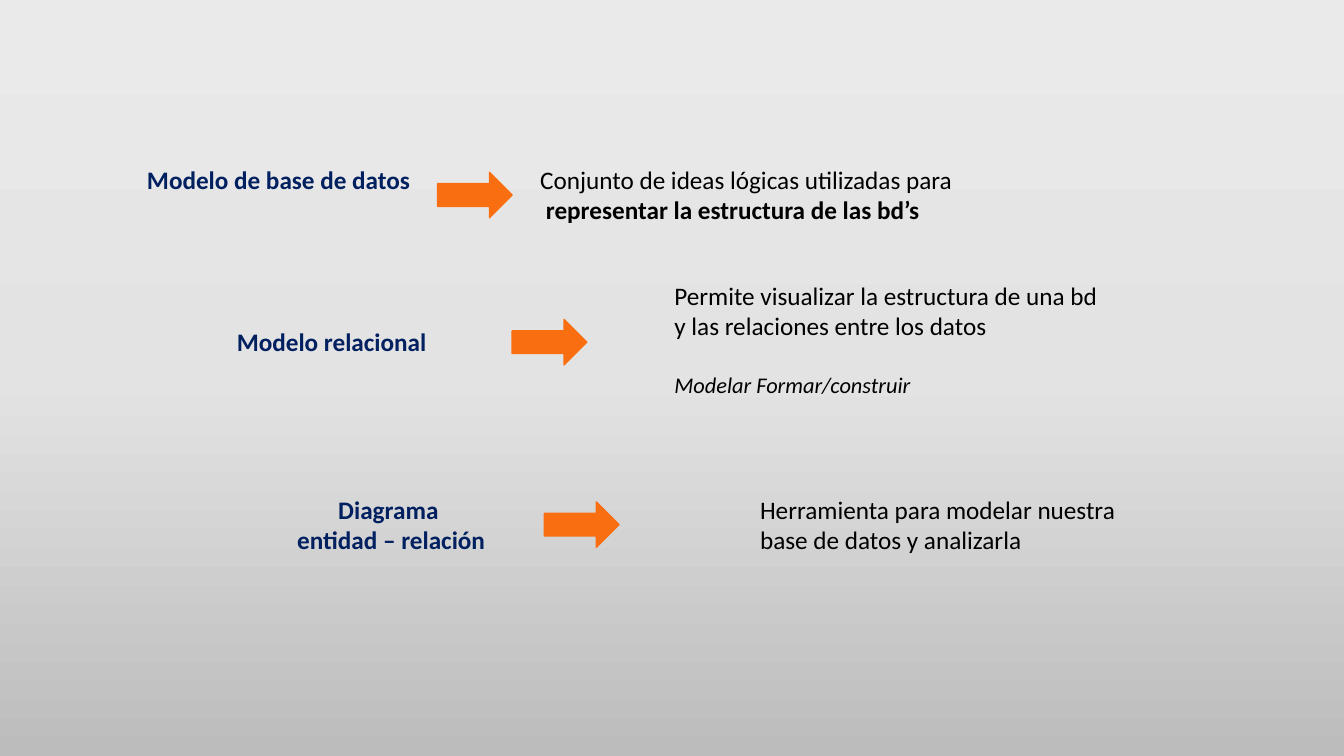
"""Build a slide that pairs three database models with their meanings."""
from copy import deepcopy
from dataclasses import dataclass

from pptx import Presentation
from pptx import util as u
from pptx.dml import color
from pptx.enum import shapes, text
from pptx.oxml import ns
from pptx.slide import Slide

NAVY = "002060"
BLACK = "000000"
ORANGE = "F86E10"
STOPS = ((0, "EBEAEA"), (0.5, "E4E3E3"), (1, "BDBCBC"))


@dataclass
class Line:
    """One paragraph and its style."""
    words: str
    size: int = 18
    tint: str = BLACK
    bold: bool = False
    slant: bool = False
    gap: int = 0


@dataclass
class Box:
    """One block of text and its place."""
    left: float
    top: float
    width: float
    height: float
    lines: list[Line]
    center: bool = False
    wrap: bool = False


@dataclass
class Arrow:
    """The top left corner of one arrow."""
    left: float
    top: float


@dataclass
class Row:
    """A model, its arrow and its meaning."""
    label: Box
    arrow: Arrow
    sense: Box


def term(words: str) -> Line:
    """Return a line in the style of the model names."""
    return Line(words, tint=NAVY, bold=True)


ROWS = [
    Row(Box(1.36, 1.58, 2.83, 0.71, [term("Modelo de base de datos")]),
        Arrow(4.34, 1.71),
        Box(5.26, 1.58, 4.34, 0.71, [
            Line("Conjunto de ideas lógicas utilizadas para"),
            Line(" representar la estructura de las bd’s", bold=True)])),
    Row(Box(2.25, 3.19, 2.09, 0.4, [term("Modelo relacional")]),
        Arrow(5.08, 3.17),
        Box(6.59, 2.73, 4.5, 1.31, [
            Line("Permite visualizar la estructura de una bd"),
            Line("y las relaciones entre los datos"),
            Line("Modelar Formar/construir", size=16, slant=True, gap=22)],
            wrap=True)),
    Row(Box(2.84, 4.85, 2.08, 0.71,
            [term("Diagrama "), term("entidad – relación")], center=True),
        Arrow(5.4, 4.98),
        Box(7.44, 4.85, 3.76, 0.71, [
            Line("Herramienta para modelar nuestra"),
            Line("base de datos y analizarla")])),
]


def rgb(code: str) -> color.RGBColor:
    """Turn a hex string into a colour."""
    return color.RGBColor.from_string(code)


def paint(slide: Slide) -> None:
    """Fill the background with a vertical three-stop gradient."""
    fill = slide.background.fill
    fill.gradient()
    fill.gradient_angle = 270
    first = next(slide.element.iter(ns.qn("a:gs")))
    first.addnext(deepcopy(first))
    for stop, (place, code) in zip(fill.gradient_stops, STOPS):
        stop.position = place
        stop.color.rgb = rgb(code)


def write(slide: Slide, box: Box) -> None:
    """Add one text box."""
    shape = slide.shapes.add_textbox(
        u.Inches(box.left), u.Inches(box.top),
        u.Inches(box.width), u.Inches(box.height))
    frame = shape.text_frame
    frame.word_wrap = box.wrap
    frame.auto_size = text.MSO_AUTO_SIZE.SHAPE_TO_FIT_TEXT
    for i, line in enumerate(box.lines):
        para = frame.add_paragraph() if i else frame.paragraphs[0]
        if box.center:
            para.alignment = text.PP_ALIGN.CENTER
        if line.gap:
            para.space_before = u.Pt(line.gap)
        run = para.add_run()
        run.text = line.words
        font = run.font
        font.name = "Calibri"
        font.size = u.Pt(line.size)
        font.bold = line.bold
        font.italic = line.slant
        font.color.rgb = rgb(line.tint)


def point(slide: Slide, arrow: Arrow) -> None:
    """Add one block arrow."""
    shape = slide.shapes.add_shape(
        shapes.MSO_SHAPE.RIGHT_ARROW, u.Inches(arrow.left),
        u.Inches(arrow.top), u.Inches(0.74), u.Inches(0.45))
    shape.shadow.inherit = False
    shape.fill.solid()
    shape.fill.fore_color.rgb = rgb(ORANGE)
    shape.line.color.rgb = rgb(ORANGE)
    shape.line.width = u.Pt(1)


def main() -> None:
    """Draw the slide and save it."""
    deck = Presentation()
    deck.slide_width = u.Inches(13.33)
    deck.slide_height = u.Inches(7.5)
    slide = deck.slides.add_slide(deck.slide_layouts[6])
    paint(slide)
    for row in ROWS:
        write(slide, row.label)
        point(slide, row.arrow)
        write(slide, row.sense)
    deck.save("out.pptx")


if __name__ == "__main__":
    main()
